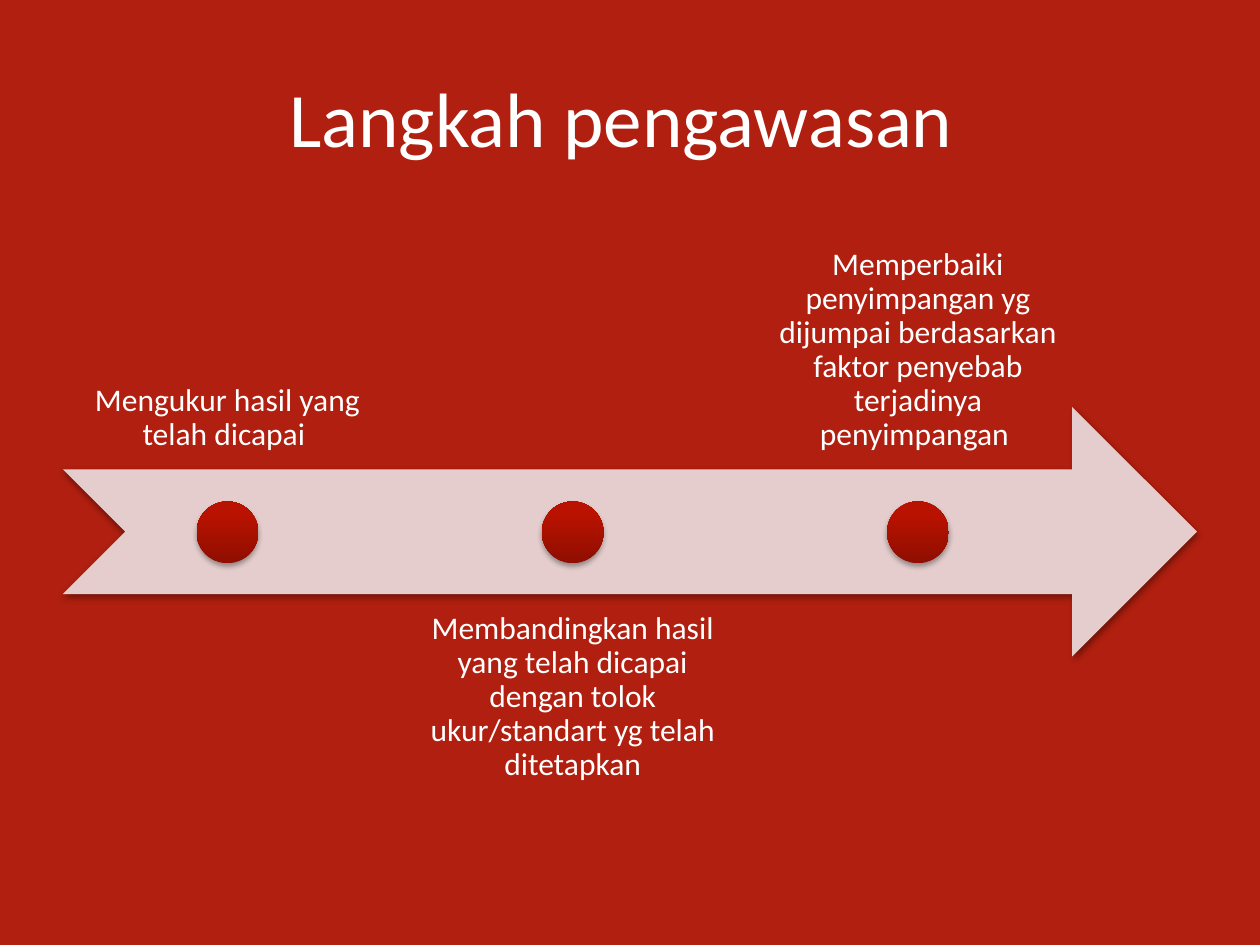
from lxml import etree
from pptx import Presentation
from pptx import util as u
from pptx.dml.color import RGBColor
from pptx.enum import shapes, text
from pptx.oxml import parse_xml
from pptx.oxml.ns import nsdecls

RED = RGBColor(0xB0, 0x1F, 0x0F)
PINK = RGBColor(0xE4, 0xCD, 0xCC)
WHITE = RGBColor(0xFF, 0xFF, 0xFF)
DOT_STOPS = [(0, RGBColor(0x8F, 0x0E, 0x00)),
             (80, RGBColor(0xB9, 0x12, 0x00)),
             (100, RGBColor(0xBA, 0x12, 0x00))]

TOP, BOTTOM = text.MSO_ANCHOR.TOP, text.MSO_ANCHOR.BOTTOM
STEP_X, STEP_W, PITCH = 0.5, 2.61, 2.74
ABOVE_Y, BELOW_Y, STEP_H = 1.75, 4.72, 1.98
DOT_Y, DOT_SIZE = 3.98, 0.49
STEPS = [
    ("Mengukur hasil yang telah dicapai ", ABOVE_Y, BOTTOM),
    ("Membandingkan hasil yang telah dicapai dengan tolok "
     "ukur/standart yg telah ditetapkan", BELOW_Y, TOP),
    ("Memperbaiki penyimpangan yg dijumpai berdasarkan faktor "
     "penyebab terjadinya penyimpangan ", ABOVE_Y, BOTTOM),
]


def add_text(parent, words, box, size, anchor, inset, spacing=1.0):
    """Centred white text in a wrapping box."""
    tf = parent.add_textbox(*map(u.Inches, box)).text_frame
    frame = {"word_wrap": True, "vertical_anchor": anchor}
    for side in ("left", "top", "right", "bottom"):
        frame["margin_" + side] = u.Inches(inset)
    for name, value in frame.items():
        setattr(tf, name, value)
    p = tf.paragraphs[0]
    p.alignment, p.line_spacing = text.PP_ALIGN.CENTER, spacing
    r = p.add_run()
    r.text = words
    for name, value in {"name": "Calibri", "size": u.Pt(size)}.items():
        setattr(r.font, name, value)
    r.font.color.rgb = WHITE


def add_shadow(sp):
    """Soft dark shadow straight below the shape."""
    sp.shadow.inherit = False
    effects = sp._element.spPr.find("{*}effectLst")
    effects.append(parse_xml(
        f'<a:outerShdw {nsdecls("a")} blurRad="{u.Pt(3.1)}" dist="{u.Pt(1.8)}" '
        'dir="5400000" rotWithShape="0"><a:srgbClr val="000000">'
        '<a:alpha val="35000"/></a:srgbClr></a:outerShdw>'))


def add_shape(parent, kind, box):
    sp = parent.add_shape(kind, *map(u.Inches, box))
    sp.line.fill.background()
    add_shadow(sp)
    return sp


def add_dot(parent, x):
    """Round marker, dark at the bottom and bright at the top."""
    sp = add_shape(parent, shapes.MSO_SHAPE.OVAL, (x, DOT_Y, DOT_SIZE, DOT_SIZE))
    sp.fill.gradient()
    sp.fill.gradient_angle = 90
    grad = sp._element.spPr.find("{*}gradFill")
    stops = grad.find("{*}gsLst")
    for stop in list(stops):
        stops.remove(stop)
    for pos, color in DOT_STOPS:
        stops.append(parse_xml(
            f'<a:gs {nsdecls("a")} pos="{pos * 1000}">'
            f'<a:srgbClr val="{color}"/></a:gs>'))


def main():
    prs = Presentation()
    prs.slide_width, prs.slide_height = u.Inches(10), u.Inches(7.5)
    s = prs.slides.add_slide(prs.slide_layouts[6])
    s.background.fill.solid()
    s.background.fill.fore_color.rgb = RED

    # Title
    add_text(s.shapes, "Langkah pengawasan ", (0.5, 0.3, 9, 1.25), 44,
             text.MSO_ANCHOR.MIDDLE, 0.1)

    # Timeline arrow
    timeline = s.shapes.add_group_shape().shapes
    arrow = add_shape(timeline, shapes.MSO_SHAPE.NOTCHED_RIGHT_ARROW,
                      (0.5, 3.23, 9, 1.98))
    arrow.fill.solid()
    arrow.fill.fore_color.rgb = PINK

    # Steps, alternately above and below the arrow
    for i, (words, y, anchor) in enumerate(STEPS):
        x = STEP_X + i * PITCH
        add_text(timeline, words, (x, y, STEP_W, STEP_H), 18, anchor, 0.14, 0.9)
        add_dot(timeline, x + (STEP_W - DOT_SIZE) / 2)

    prs.save("out.pptx")


main()
